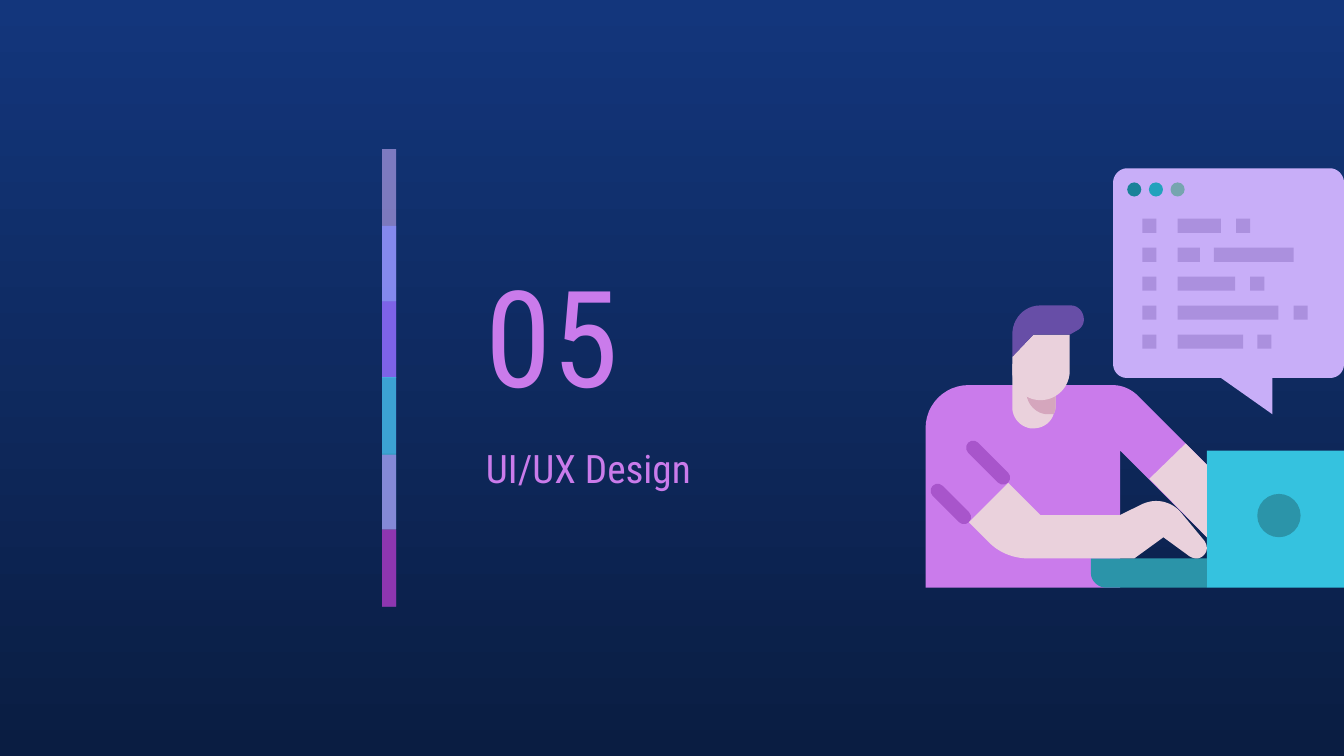
from lxml import etree
from pptx import Presentation
from pptx.dml.color import RGBColor
from pptx.enum import shapes, text
from pptx.oxml.ns import qn
from pptx.util import Inches, Pt

prs = Presentation()
prs.slide_width, prs.slide_height = Inches(13.33), Inches(7.5)
s = prs.slides.add_slide(prs.slide_layouts[6])
RECT, ROUND, OVAL = (shapes.MSO_SHAPE.RECTANGLE, shapes.MSO_SHAPE.ROUNDED_RECTANGLE,
                     shapes.MSO_SHAPE.OVAL)
rgb = RGBColor.from_string


def add_text(content, left, top, width, height, size=28, color="CA7BEB", font="Roboto Condensed"):
    tf = s.shapes.add_textbox(Inches(left), Inches(top), Inches(width), Inches(height)).text_frame
    tf.word_wrap = True
    tf.vertical_anchor = text.MSO_ANCHOR.MIDDLE
    tf.margin_left = tf.margin_right = tf.margin_top = tf.margin_bottom = Inches(0.13)
    r = tf.paragraphs[0].add_run()
    r.text = content
    r.font.size, r.font.name, r.font.color.rgb = Pt(size), font, rgb(color)


def add_part(color, kind=None, box=None, outline=None, alpha=None, turn=0):
    """Preset shape in a box, or an outline of points (x, y) and curves (x1, y1, x2, y2, x, y)."""
    if outline:
        points = [outline[0]]
        for step in outline[1:]:
            if len(step) == 2:
                points.append(step)
                continue
            ctrl = [points[-1], step[0:2], step[2:4], step[4:6]]
            for i in range(1, 13):
                t = i / 12
                weights = ((1 - t) ** 3, 3 * t * (1 - t) ** 2, 3 * t * t * (1 - t), t ** 3)
                points.append(tuple(sum(w * c[axis] for w, c in zip(weights, ctrl))
                                    for axis in (0, 1)))
        points = [(Inches(x), Inches(y)) for x, y in points]
        builder = s.shapes.build_freeform(*points[0])
        builder.add_line_segments(points[1:], close=True)
        sp = builder.convert_to_shape()
    else:
        sp = s.shapes.add_shape(kind, *[Inches(v) for v in box])
        sp.rotation = turn
        if kind == ROUND:
            sp.adjustments[0] = 0.5
    sp.shadow.inherit = False
    sp.fill.solid()
    sp.fill.fore_color.rgb = rgb(color)
    sp.line.fill.background()
    if alpha:
        clr = sp.fill._xPr.find(qn("a:solidFill"))[0]
        etree.SubElement(clr, qn("a:alpha")).set("val", str(alpha * 1000))


# Background
bg = s.background.fill
bg.gradient()
bg.gradient_angle = 270
for stop, color in zip(bg.gradient_stops, ("13367C", "0A1D42")):
    stop.color.rgb = rgb(color)
for stop, position in zip(bg.gradient_stops, (0, 1)):
    stop.position = position

# Vertical bar of overlapping translucent strips
for top, height, color, alpha in [
        (1.48, 1.51, "C8AEF8", 59), (2.24, 1.51, "878FFF", 74), (2.99, 1.51, "9154F8", 53),
        (3.74, 1.51, "35C2DF", 76), (4.51, 1.51, "CA7BEB", 56), (5.26, 0.76, "972CB4", 74)]:
    add_part(color, RECT, (3.79, top, 0.14, height), alpha=alpha)

# Section number and title
add_text("05", 4.69, 2.41, 2.33, 1.8, size=96)
add_text("UI/UX Design", 4.69, 4.2, 3.82, 0.89)

# Torso and sleeve hems
add_part("CA7BEB", outline=[
    (9.61, 3.82), (9.37, 3.82, 9.18, 4.01, 9.18, 4.25), (9.18, 5.83), (11.11, 5.83),
    (11.11, 4.47), (11.97, 5.33), (11.97, 4.61), (11.29, 3.93),
    (11.22, 3.86, 11.13, 3.82, 11.03, 3.82)])
for x, y, length in [(9.43, 5.0, 0.51), (9.8, 4.59, 0.56)]:
    add_part("A855CB", ROUND, (x - length / 2, y - 0.07, length, 0.14), turn=45)

# Laptop screen and base
add_part("35C2DF", RECT, (11.97, 4.47, 1.36, 1.36))
add_part("2B94A9", outline=[
    (10.82, 5.54), (10.82, 5.69), (10.82, 5.76, 10.89, 5.83, 10.97, 5.83),
    (11.97, 5.83), (11.97, 5.54)])

# Neck and its shade
add_part("EAD1DC", outline=[
    (10.04, 3.61), (10.04, 4.04), (10.04, 4.14, 10.11, 4.23, 10.22, 4.25),
    (10.23, 4.25, 10.24, 4.25, 10.25, 4.25), (10.34, 4.25, 10.42, 4.2, 10.45, 4.11),
    (10.46, 4.09, 10.47, 4.06, 10.47, 4.04), (10.47, 3.61)])
add_part("D5A6BD", outline=[
    (10.18, 3.61), (10.18, 3.89), (10.18, 4.01, 10.28, 4.11, 10.39, 4.11),
    (10.45, 4.11), (10.46, 4.09, 10.47, 4.06, 10.47, 4.04), (10.47, 3.61)])

# Arms
add_part("EAD1DC", outline=[
    (10, 4.79), (9.61, 5.18), (9.8, 5.37), (9.9, 5.48, 10.05, 5.54, 10.2, 5.54),
    (11.25, 5.54), (11.54, 5.33), (11.8, 5.52), (11.82, 5.53, 11.84, 5.54, 11.87, 5.54),
    (11.92, 5.54, 11.97, 5.49, 11.97, 5.44), (11.97, 5.41, 11.96, 5.39, 11.95, 5.37),
    (11.71, 5.08), (11.65, 5.01, 11.56, 4.97, 11.47, 4.97),
    (11.42, 4.97, 11.38, 4.98, 11.33, 5), (11.11, 5.11), (10.32, 5.11)])
add_part("EAD1DC", outline=[(11.76, 4.4), (11.4, 4.75), (11.97, 5.33), (11.97, 4.61)])

# Disc on the laptop lid
add_part("2B94A9", OVAL, (12.47, 4.9, 0.43, 0.43))

# Speech bubble
add_part("C8AEF8", outline=[
    (11.18, 1.67), (11.1, 1.67, 11.04, 1.74, 11.04, 1.81), (11.04, 3.61),
    (11.04, 3.69, 11.1, 3.75, 11.18, 3.75), (12.11, 3.75), (12.62, 4.11), (12.62, 3.75),
    (13.19, 3.75), (13.27, 3.75, 13.33, 3.69, 13.33, 3.61), (13.33, 1.81),
    (13.33, 1.74, 13.27, 1.67, 13.19, 1.67)])

# Code lines: a marker, then two blocks per row
code_rows = [
    [(11.68, 0.43), (12.26, 0.14)],
    [(11.68, 0.22), (12.04, 0.79)],
    [(11.68, 0.57), (12.4, 0.14)],
    [(11.68, 1.0), (12.83, 0.14)],
    [(11.68, 0.65), (12.47, 0.14)],
]
for row, blocks in enumerate(code_rows):
    for left, width in [(11.33, 0.14)] + blocks:
        add_part("AB90DE", RECT, (left, 2.17 + row * 0.2875, width, 0.14))

# Window buttons
for i, color in enumerate(("198298", "22A2BC", "76A5AF")):
    add_part(color, OVAL, (11.18 + i * 0.215, 1.81, 0.14, 0.14))

# Face and hair
add_part("EAD1DC", outline=[
    (10.25, 3.32), (10.04, 3.54), (10.04, 3.68), (10.04, 3.84, 10.16, 3.97, 10.32, 3.97),
    (10.48, 3.97, 10.61, 3.84, 10.61, 3.68), (10.61, 3.32)])
add_part("674EA7", outline=[
    (10.32, 3.03), (10.16, 3.03, 10.04, 3.16, 10.04, 3.32), (10.04, 3.54), (10.25, 3.32),
    (10.61, 3.32), (10.68, 3.28), (10.72, 3.26, 10.75, 3.22, 10.75, 3.17),
    (10.75, 3.09, 10.69, 3.03, 10.62, 3.03)])

prs.save("out.pptx")
